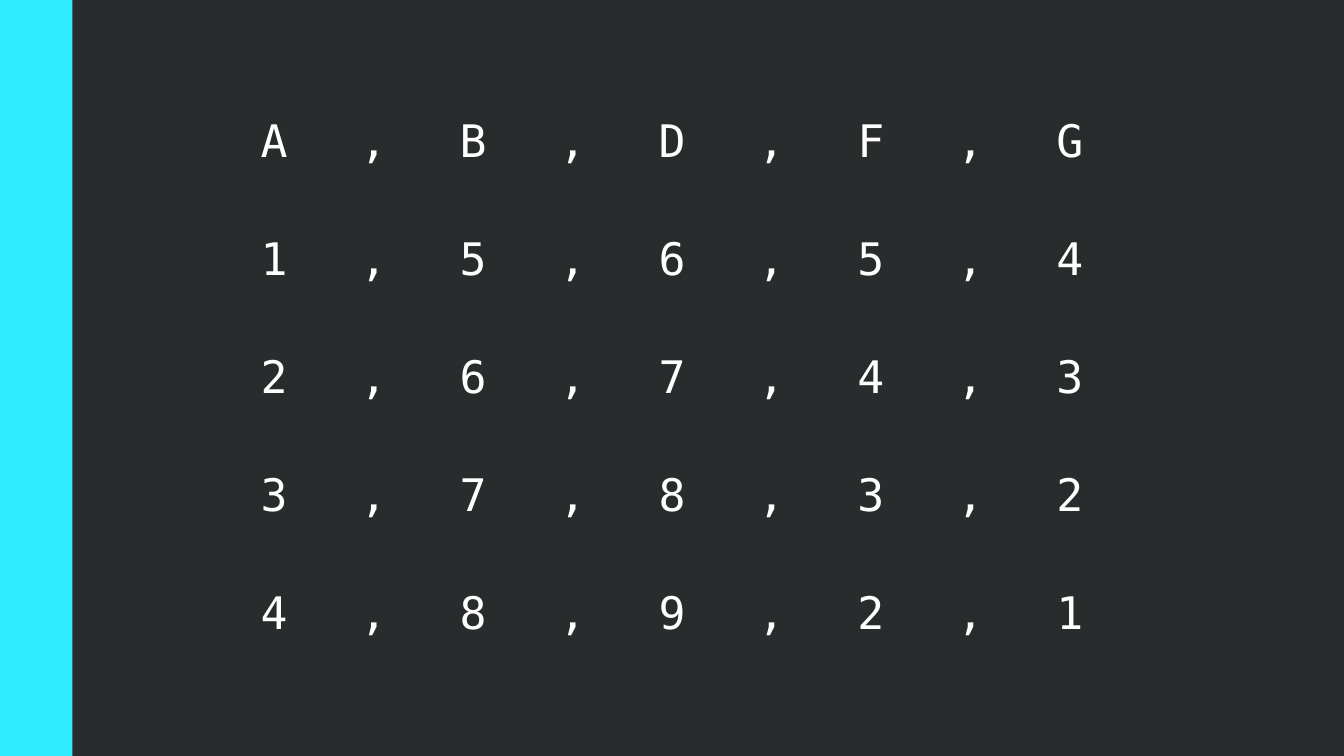
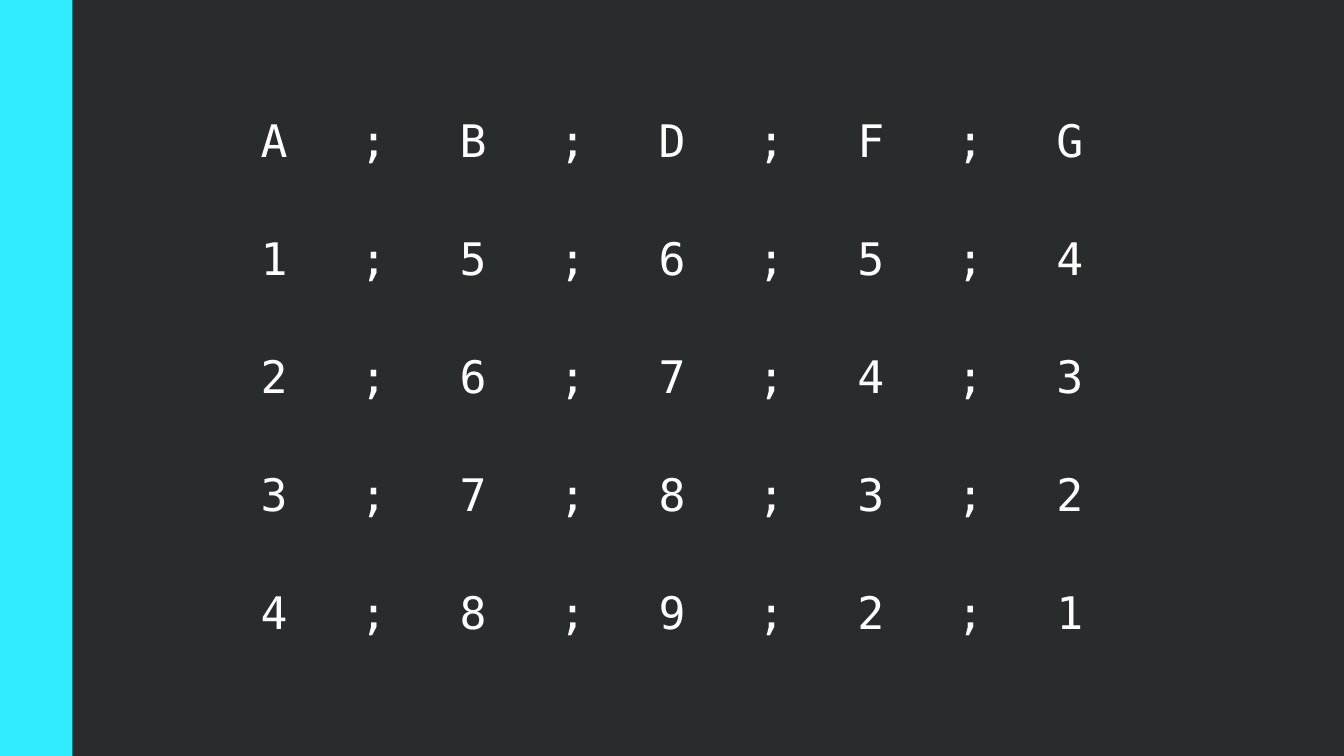
from pptx import Presentation
from pptx.dml.color import RGBColor
from pptx.enum.shapes import MSO_SHAPE as Shape
from pptx.enum.text import MSO_ANCHOR as Anchor, PP_ALIGN as Align
from pptx.oxml.ns import qn
from pptx.util import Cm, Pt

# Shared look
BACKGROUND = "282C2C"
BAND = "31EBFF"
TEXT = "FFFFFF"
FONT = "DejaVu Sans Mono"
PLAIN_TABLE_STYLE = "{2D5ABB26-0587-4C30-8999-92F81FD0307C}"
COLUMN_WIDTH = Cm(1.88)
ROW_HEIGHT = Cm(2.23)

# Each row of the data, one character per field
RECORDS = ["ABDFG", "15654", "26743", "37832", "48921"]
SEPARATORS = [",", ";"]


def color(value):
    return RGBColor.from_string(value)


presentation = Presentation()
presentation.slide_width = Cm(25.4)
presentation.slide_height = Cm(14.29)

for separator in SEPARATORS:
    slide = presentation.slides.add_slide(presentation.slide_layouts[6])
    slide.background.fill.solid()
    slide.background.fill.fore_color.rgb = color(BACKGROUND)

    # Band on the left edge
    band = slide.shapes.add_shape(
        Shape.RECTANGLE, 0, 0, Cm(1.37), presentation.slide_height)
    band.shadow.inherit = False
    band.fill.solid()
    band.fill.fore_color.rgb = color(BAND)
    band.line.fill.background()

    # Table centred on the slide, with separators between the fields
    rows = [separator.join(record) for record in RECORDS]
    width = COLUMN_WIDTH * len(rows[0])
    height = ROW_HEIGHT * len(rows)
    left = (presentation.slide_width - width) // 2
    top = (presentation.slide_height - height) // 2
    table = slide.shapes.add_table(
        len(rows), len(rows[0]), left, top, width, height).table
    table.first_row = False
    table.horz_banding = False
    table._tbl.tblPr.find(qn("a:tableStyleId")).text = PLAIN_TABLE_STYLE

    for row_index, row in enumerate(rows):
        for column_index, character in enumerate(row):
            cell = table.cell(row_index, column_index)
            cell.fill.background()
            cell.vertical_anchor = Anchor.MIDDLE
            cell.text_frame.text = character
            paragraph = cell.text_frame.paragraphs[0]
            paragraph.alignment = Align.CENTER
            font = paragraph.runs[0].font
            font.name = FONT
            font.size = Pt(24)
            font.color.rgb = color(TEXT)

presentation.save("out.pptx")
